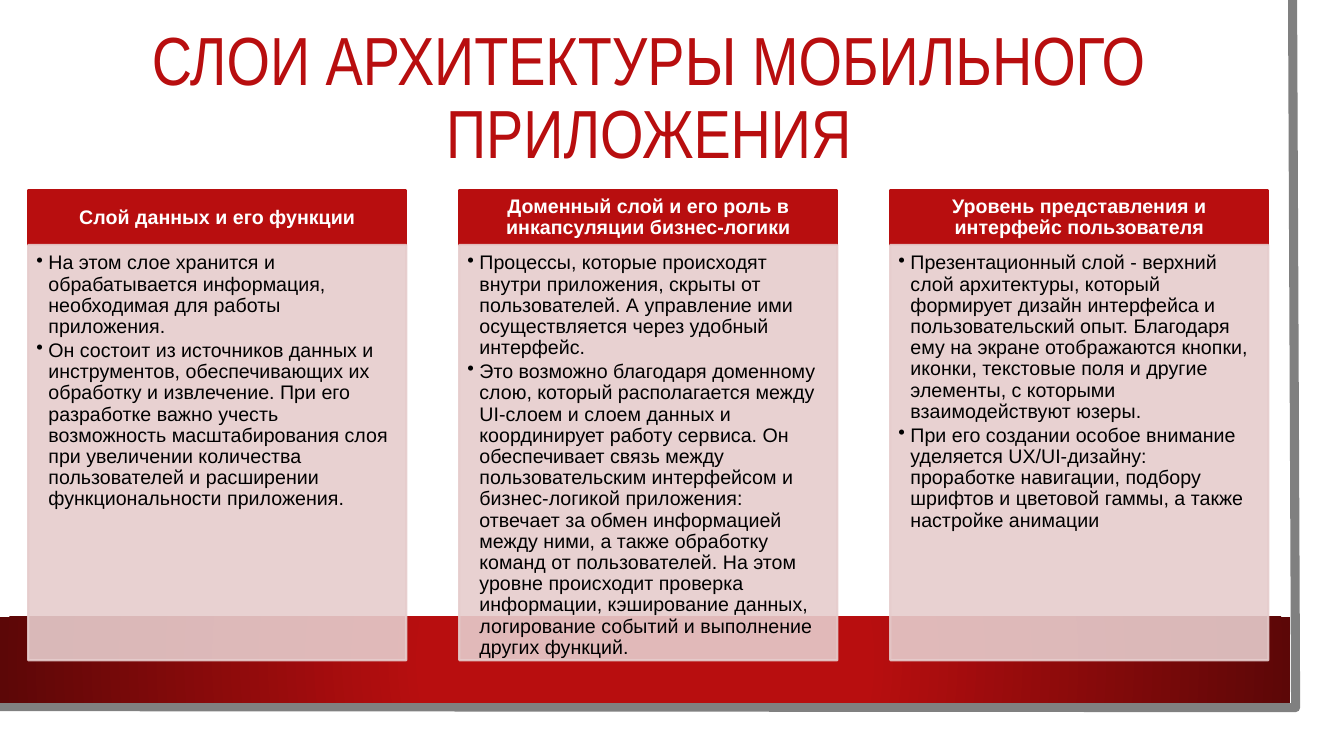
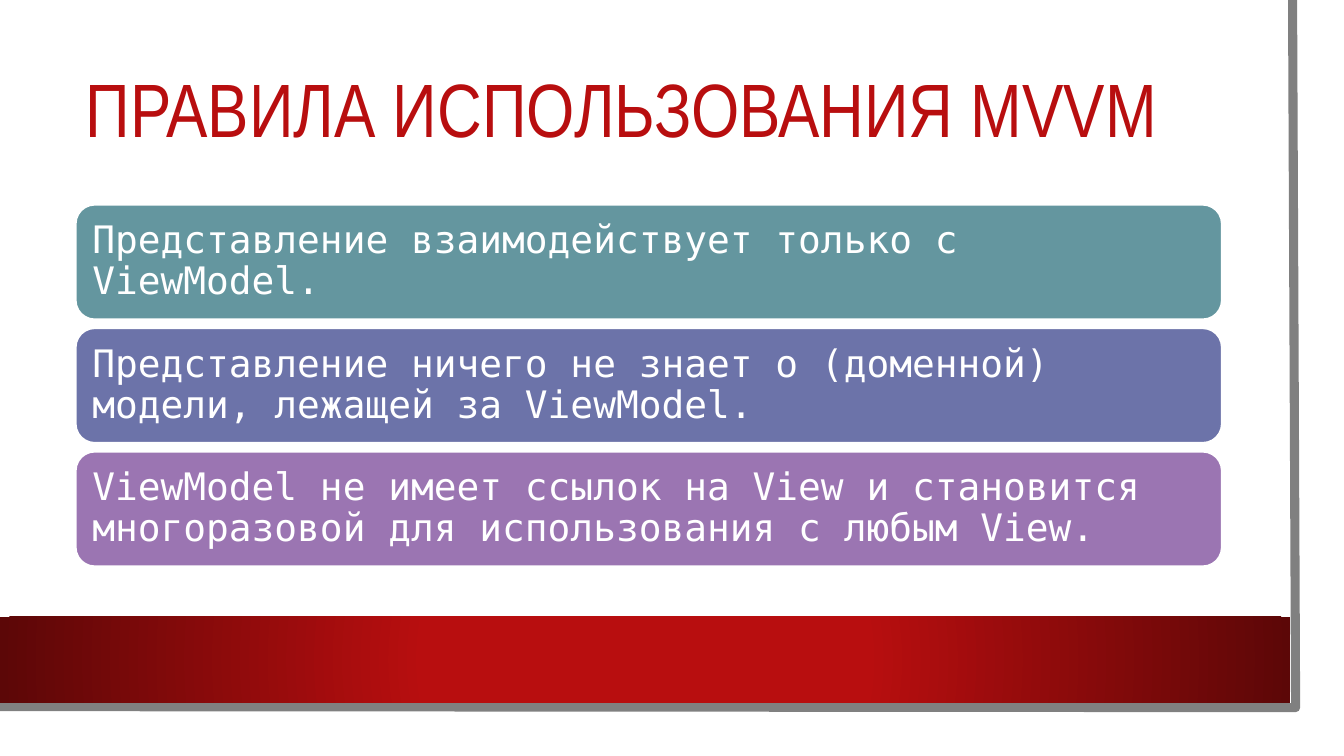
from lxml.etree import SubElement
from pptx import Presentation
from pptx.dml.color import RGBColor
from pptx.enum.shapes import MSO_SHAPE
from pptx.enum.text import MSO_ANCHOR, PP_ALIGN
from pptx.oxml import parse_xml
from pptx.oxml.ns import nsdecls, qn
from pptx.util import Inches, Pt

# Content
LAYERS_TITLE = "СЛОИ АРХИТЕКТУРЫ МОБИЛЬНОГО ПРИЛОЖЕНИЯ"
LAYERS = [
    ("Слой данных и его функции", [
        "На этом слое хранится и обрабатывается информация, необходимая для "
        "работы приложения.",
        "Он состоит из источников данных и инструментов, обеспечивающих их "
        "обработку и извлечение. При его разработке важно учесть возможность "
        "масштабирования слоя при увеличении количества пользователей и "
        "расширении функциональности приложения."]),
    ("Доменный слой и его роль в инкапсуляции бизнес-логики", [
        "Процессы, которые происходят внутри приложения, скрыты от "
        "пользователей. А управление ими осуществляется через удобный "
        "интерфейс.",
        "Это возможно благодаря доменному слою, который располагается между "
        "UI-слоем и слоем данных и координирует работу сервиса. Он "
        "обеспечивает связь между пользовательским интерфейсом и "
        "бизнес-логикой приложения: отвечает за обмен информацией между ними, "
        "а также обработку команд от пользователей. На этом уровне происходит "
        "проверка информации, кэширование данных, логирование событий и "
        "выполнение других функций."]),
    ("Уровень представления и интерфейс пользователя", [
        "Презентационный слой - верхний слой архитектуры, который формирует "
        "дизайн интерфейса и пользовательский опыт. Благодаря ему на экране "
        "отображаются кнопки, иконки, текстовые поля и другие элементы, с "
        "которыми взаимодействуют юзеры.",
        "При его создании особое внимание уделяется UX/UI-дизайну: проработке "
        "навигации, подбору шрифтов и цветовой гаммы, а также настройке "
        "анимации"]),
]
RULES_TITLE = "ПРАВИЛА ИСПОЛЬЗОВАНИЯ MVVM"
RULES = [
    ("64969F", "Представление взаимодействует только с ViewModel."),
    ("6C73A9", "Представление ничего не знает о (доменной) модели, лежащей за "
               "ViewModel."),
    ("9B75B2", "ViewModel не имеет ссылок на View и становится многоразовой "
               "для использования с любым View."),
]

# Shared style
RED, DARK, GREY, PINK = "B80E0F", "5C0707", "808080", "E6CCCC"
WHITE, BLACK = "FFFFFF", "000000"
LEFT, WIDTH = 0.75, 11.37


def color(code):
    return RGBColor.from_string(code)


def add_box(slide, kind, at, fill, line):
    box = slide.shapes.add_shape(kind, *map(Inches, at))
    box.shadow.inherit = False
    box.fill.solid()
    box.fill.fore_color.rgb = color(fill)
    box.line.color.rgb = color(line)
    box.line.width = Pt(1.5)
    return box


def write(shape, texts, size, font, ink, align=PP_ALIGN.LEFT, bold=False,
          anchor=MSO_ANCHOR.MIDDLE, inset=(0.1, 0.05, 0.1, 0.05), after=0):
    frame = shape.text_frame
    frame.word_wrap = True
    frame.vertical_anchor = anchor
    (frame.margin_left, frame.margin_top,
     frame.margin_right, frame.margin_bottom) = map(Inches, inset)
    for i, text in enumerate(texts):
        para = frame.paragraphs[0] if i == 0 else frame.add_paragraph()
        para.alignment = align
        para.line_spacing = 0.9
        para.space_after = Pt(after)
        run = para.add_run()
        run.text = text
        run.font.size = Pt(size)
        run.font.name = font
        run.font.bold = bold
        run.font.color.rgb = color(ink)


def add_bullets(shape, indent):
    for para in shape.text_frame.paragraphs:
        props = para._p.get_or_add_pPr()
        props.set("marL", str(Inches(indent)))
        props.set("indent", str(-Inches(indent)))
        SubElement(props, qn("a:buChar")).set("char", "•")


def set_alpha(shape, percent):
    for tint in shape._element.spPr.iter(qn("a:srgbClr")):
        SubElement(tint, qn("a:alpha")).set("val", str(percent * 1000))


def add_frame(slide):
    # Grey paper edge
    pen = slide.shapes.build_freeform(Inches(12.82), 0)
    pen.add_line_segments([(Inches(12.85), Inches(7.02)),
                           (Inches(-0.03), Inches(7.01))], close=False)
    edge = pen.convert_to_shape()
    edge.shadow.inherit = False
    edge.fill.background()
    edge.line.color.rgb = color(GREY)
    edge.line.width = Pt(6.5)
    # Red band, darker towards both ends
    band = add_box(slide, MSO_SHAPE.RECTANGLE, (0, 6.12, 12.8, 0.85), RED, RED)
    band.line.fill.background()
    props = band._element.spPr
    props.replace(props.find(qn("a:solidFill")), parse_xml(
        f'<a:gradFill {nsdecls("a")} rotWithShape="1"><a:gsLst>'
        f'<a:gs pos="34000"><a:srgbClr val="{RED}"/></a:gs>'
        f'<a:gs pos="100000"><a:srgbClr val="{DARK}"/></a:gs></a:gsLst>'
        '<a:path path="circle">'
        '<a:fillToRect l="50000" t="50000" r="50000" b="50000"/>'
        '</a:path></a:gradFill>'))


def add_slide(deck, title, top, size, align):
    slide = deck.slides.add_slide(deck.slide_layouts[6])
    add_frame(slide)
    box = slide.shapes.add_textbox(*map(Inches, (LEFT, top, WIDTH, 1.26)))
    write(box, [title], size, "Arial Narrow", RED, align)
    return slide


def add_layers(deck):
    slide = add_slide(deck, LAYERS_TITLE, 0.36, 48.6, PP_ALIGN.CENTER)
    left, top, width, step = 0.28, 1.89, 3.75, 4.275
    head_h, body_h = 0.54, 4.12
    for i, (name, points) in enumerate(LAYERS):
        x = left + i * step
        head = add_box(slide, MSO_SHAPE.RECTANGLE, (x, top, width, head_h),
                       RED, RED)
        write(head, [name], 14, "Arial", WHITE, PP_ALIGN.CENTER, True,
              inset=(0.11, 0.06, 0.11, 0.06))
        body = add_box(slide, MSO_SHAPE.RECTANGLE,
                       (x, top + head_h, width, body_h), PINK, PINK)
        set_alpha(body, 90)
        write(body, points, 14, "Arial", BLACK, anchor=MSO_ANCHOR.TOP,
              inset=(0.08, 0.08, 0.11, 0.12), after=2)
        add_bullets(body, 0.12)


def add_rules(deck):
    slide = add_slide(deck, RULES_TITLE, 0.49, 54, PP_ALIGN.LEFT)
    top, height, step = 2.03, 1.14, 1.225
    for i, (fill, text) in enumerate(RULES):
        bar = add_box(slide, MSO_SHAPE.ROUNDED_RECTANGLE,
                      (LEFT, top + i * step, WIDTH, height), fill, WHITE)
        write(bar, [text], 27, "DejaVu Sans Mono", WHITE, inset=(0.11,) * 4)


def main():
    deck = Presentation()
    deck.slide_width, deck.slide_height = Inches(13.33), Inches(7.5)
    add_layers(deck)
    add_rules(deck)
    deck.save("out.pptx")


if __name__ == "__main__":
    main()
